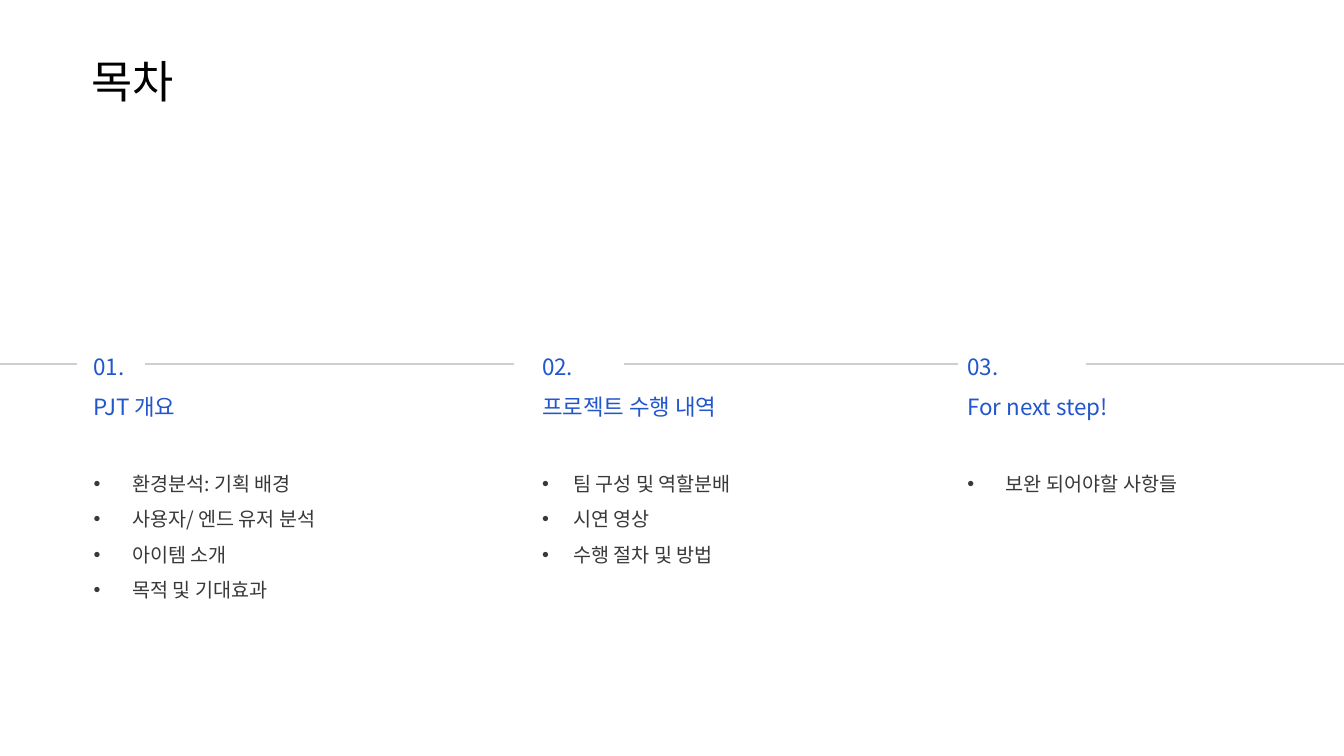
from lxml.etree import SubElement as Sub
from pptx import Presentation
from pptx.dml.color import RGBColor as RGB
from pptx.enum.shapes import MSO_CONNECTOR as Link
from pptx.enum.text import MSO_AUTO_SIZE as Auto, PP_ALIGN as Align
from pptx.oxml.ns import qn
from pptx.util import Cm, Pt

FACE = "Noto Sans CJK KR"
BLUE, DARK, GRAY, BLACK = "2156CD", "3B3838", "D0CECE", "000000"


def tint(part, code):
    part.rgb = RGB.from_string(code)


def write(frame, text, size, color, first=False, pitch=None, before=0, dent=None, align=None):
    para = frame.paragraphs[0] if first else frame.add_paragraph()
    if dent:
        props = para._p.get_or_add_pPr()
        props.set("marL", str(Cm(dent)))
        props.set("indent", str(-Cm(dent)))
        Sub(props, qn("a:buFont"), typeface="Arial")
        Sub(props, qn("a:buChar"), char="•")
    if pitch:
        para.line_spacing = pitch
    if before:
        para.space_before = Pt(before)
    para.alignment = align
    run = para.add_run()
    run.text = text
    run.font.size = Pt(size)
    tint(run.font.fill.fore_color if run.font.fill.solid() else run.font.color, color)
    run.font.name = FACE
    Sub(run._r.get_or_add_rPr(), qn("a:ea"), typeface=FACE)


deck = Presentation()
deck.slide_width, deck.slide_height = Cm(33.87), Cm(19.05)
slide = deck.slides.add_slide(deck.slide_layouts[6])
shapes = slide.shapes

title = shapes.add_textbox(Cm(2.06), Cm(1.24), Cm(7.8), Cm(1.63)).text_frame
title.word_wrap = True
title.auto_size = Auto.SHAPE_TO_FIT_TEXT
write(title, "목차", 32, BLACK, first=True, align=Align.JUSTIFY)

parts = [
    (2.11, 6.48, 6.83, 0.97, "PJT 개요",
     ["환경분석: 기획 배경", "사용자/ 엔드 유저 분석", "아이템 소개", "목적 및 기대효과"]),
    (13.41, 5.87, 5.94, 0.79, "프로젝트 수행 내역",
     ["팀 구성 및 역할분배", "시연 영상", "수행 절차 및 방법"]),
    (24.13, 6.1, 4.14, 0.97, "For next step!",
     ["보완 되어야할 사항들"]),
]
for num, (left, width, height, dent, head, items) in enumerate(parts, 1):
    frame = shapes.add_textbox(Cm(left), Cm(8.43), Cm(width), Cm(height)).text_frame
    frame.word_wrap = True
    frame.auto_size = Auto.SHAPE_TO_FIT_TEXT
    write(frame, f"{num:02}.", 16, BLUE, first=True, pitch=1.5)
    write(frame, head, 16, BLUE, pitch=1.5)
    for row, item in enumerate(items):
        gap = 0 if row else 28.8
        write(frame, item, 14, DARK, pitch=1.5, before=gap, dent=dent)

for start, end in [(0, 1.93), (3.66, 12.95), (15.72, 24.13), (27.38, 33.87)]:
    rule = shapes.add_connector(Link.STRAIGHT, Cm(start), Cm(9.17), Cm(end), Cm(9.17))
    tint(rule.line.color, GRAY)
    rule.line.width = Pt(1.75)
    Sub(rule._element.spPr, qn("a:effectLst"))

deck.save("out.pptx")
